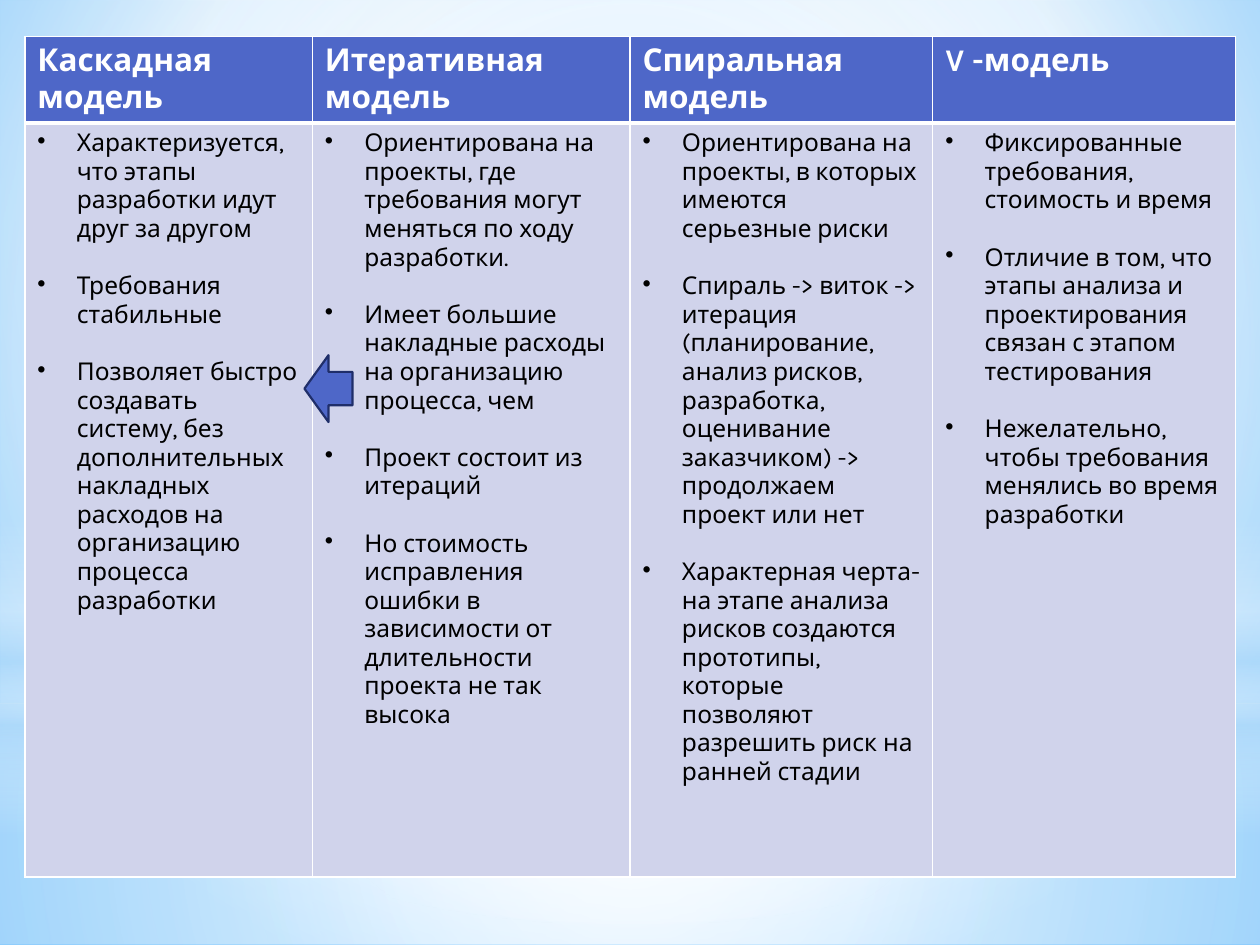
from lxml.etree import SubElement
from pptx import Presentation
from pptx.dml.color import RGBColor
from pptx.enum.shapes import MSO_SHAPE as Shape
from pptx.oxml import parse_xml
from pptx.oxml.ns import nsdecls, qn
from pptx.util import Pt

FONT = "Karla"
BLUE = RGBColor(0x4E, 0x67, 0xC8)
NAVY = RGBColor(0x1F, 0x2E, 0x69)
LAVENDER = RGBColor(0xD0, 0xD3, 0xEB)
WHITE = RGBColor(0xFF, 0xFF, 0xFF)
BLACK = RGBColor(0, 0, 0)
SKY = RGBColor(0xB4, 0xDC, 0xFA)
SKY_MID = RGBColor(0x9E, 0xD5, 0xFF)
SKY_DEEP = RGBColor(0x5B, 0xB9, 0xFF)

MODELS = [
    ("Каскадная модель", 164.3, [
        "Характеризуется, что этапы разработки идут друг за другом",
        "Требования стабильные",
        "Позволяет быстро создавать систему, без дополнительных накладных "
        "расходов на организацию процесса разработки"]),
    ("Итеративная модель", 181.5, [
        "Ориентирована на проекты, где требования могут меняться по ходу разработки.",
        "Имеет большие накладные расходы на организацию процесса, чем",
        "Проект состоит из итераций",
        "Но стоимость исправления ошибки в зависимости от длительности "
        "проекта не так высока"]),
    ("Спиральная модель", 173, [
        "Ориентирована на проекты, в которых имеются серьезные риски",
        "Спираль -> виток -> итерация (планирование, анализ рисков, разработка, "
        "оценивание заказчиком) -> продолжаем проект или нет",
        "Характерная черта- на этапе анализа рисков создаются прототипы, "
        "которые позволяют разрешить риск на ранней стадии"]),
    ("V -модель", 173, [
        "Фиксированные требования, стоимость и время",
        "Отличие в том, что этапы анализа и проектирования связан с этапом тестирования",
        "Нежелательно, чтобы требования менялись во время разработки"]),
]
ROW_HEIGHTS = (49, 431)

CENTER = (50, 50, 50, 50)
BACKDROP = [(0, SKY_MID, 100), (60, WHITE, 100), (100, SKY_DEEP, 100)]
GLOWS = [
    (Shape.RECTANGLE, (0, 402, 720, 138), CENTER,
     [(0, WHITE, 91), (37, WHITE, 76), (100, SKY, 79)]),
    (Shape.RECTANGLE, (0, 0, 720, 402), CENTER,
     [(0, WHITE, 89), (48, WHITE, 62), (100, SKY, 79)]),
    (Shape.RECTANGLE, (0, 297, 720, 180), None,
     [(0, WHITE, 0), (29, WHITE, 30), (45, SKY, 40), (55, WHITE, 26),
      (65, SKY, 60), (100, WHITE, 0)]),
    (Shape.OVAL, (0, 126, 720, 402), CENTER, [(0, WHITE, 100), (56, WHITE, 0)]),
]


def set_gradient(element, stops, focus):
    """Replace the empty fill in element by a radial or vertical gradient."""
    stops_xml = "".join(
        f'<a:gs pos="{pos * 1000}"><a:srgbClr val="{color}">'
        f'<a:alpha val="{alpha * 1000}"/></a:srgbClr></a:gs>'
        for pos, color, alpha in stops)
    if focus:
        sides = " ".join(f'{k}="{v * 1000}"' for k, v in zip("ltrb", focus))
        shade = f'<a:path path="circle"><a:fillToRect {sides}/></a:path>'
    else:
        shade = '<a:lin ang="5400000" scaled="0"/>'
    old = element.find(".//" + qn("a:noFill"))
    old.getparent().replace(old, parse_xml(
        f'<a:gradFill {nsdecls("a")} rotWithShape="1">'
        f'<a:gsLst>{stops_xml}</a:gsLst>{shade}</a:gradFill>'))


def add_shape(s, kind, box):
    """Add a preset shape without shadow."""
    sp = s.shapes.add_shape(kind, *map(Pt, box))
    sp.shadow.inherit = False
    return sp


def style_cell(cell, fill, top, bottom):
    """Fill a cell and give it white borders."""
    cell.fill.solid()
    cell.fill.fore_color.rgb = fill
    props = cell._tc.get_or_add_tcPr()
    for i, (side, width) in enumerate(zip("LRTB", (1, 1, top, bottom))):
        props.insert(i, parse_xml(
            f'<a:ln{side} {nsdecls("a")} w="{Pt(width)}"><a:solidFill>'
            f'<a:srgbClr val="{WHITE}"/></a:solidFill></a:ln{side}>'))


def write(p, text, size, color, bold):
    """Put text in a paragraph with its font."""
    p.text = text
    p.font.name, p.font.size, p.font.bold = FONT, Pt(size), bold
    p.font.color.rgb = color


def write_bullets(tf, items):
    """Fill a text frame with spaced bullet paragraphs."""
    for i, item in enumerate(items):
        p = tf.add_paragraph() if i else tf.paragraphs[0]
        write(p, item, 14, BLACK, False)
        p.space_before = Pt(16.4 if i else 0)
        props = p._p.get_or_add_pPr()
        props.set("marL", str(Pt(22.5)))
        props.set("indent", str(-Pt(22.5)))
        bullet = SubElement(props, qn("a:buChar"))
        bullet.set("char", "•")
        props.find(qn("a:defRPr")).addprevious(bullet)


prs = Presentation()
prs.slide_width, prs.slide_height = Pt(720), Pt(540)
s = prs.slides.add_slide(prs.slide_layouts[6])
s.background.fill.background()
set_gradient(s.element, BACKDROP, (20, 10, 20, 60))

for kind, box, focus, stops in GLOWS:
    sp = add_shape(s, kind, box)
    sp.fill.background()
    set_gradient(sp.element, stops, focus)
    sp.line.fill.background()

total_width = sum(width for _, width, _ in MODELS)
table = s.shapes.add_table(2, len(MODELS), Pt(14.2), Pt(20.8),
                           Pt(total_width), Pt(sum(ROW_HEIGHTS))).table
for row, height in zip(table.rows, ROW_HEIGHTS):
    row.height = Pt(height)
for col, (title, width, items) in enumerate(MODELS):
    table.columns[col].width = Pt(width)
    head, body = table.cell(0, col), table.cell(1, col)
    style_cell(head, BLUE, 1, 3)
    style_cell(body, LAVENDER, 3, 1)
    write(head.text_frame.paragraphs[0], title, 18, WHITE, True)
    write_bullets(body.text_frame, items)

arrow = add_shape(s, Shape.LEFT_ARROW, (174, 203, 27.5, 38.2))
arrow.fill.solid()
arrow.fill.fore_color.rgb = BLUE
arrow.line.color.rgb = NAVY
arrow.line.width = Pt(1.25)

prs.save("out.pptx")
